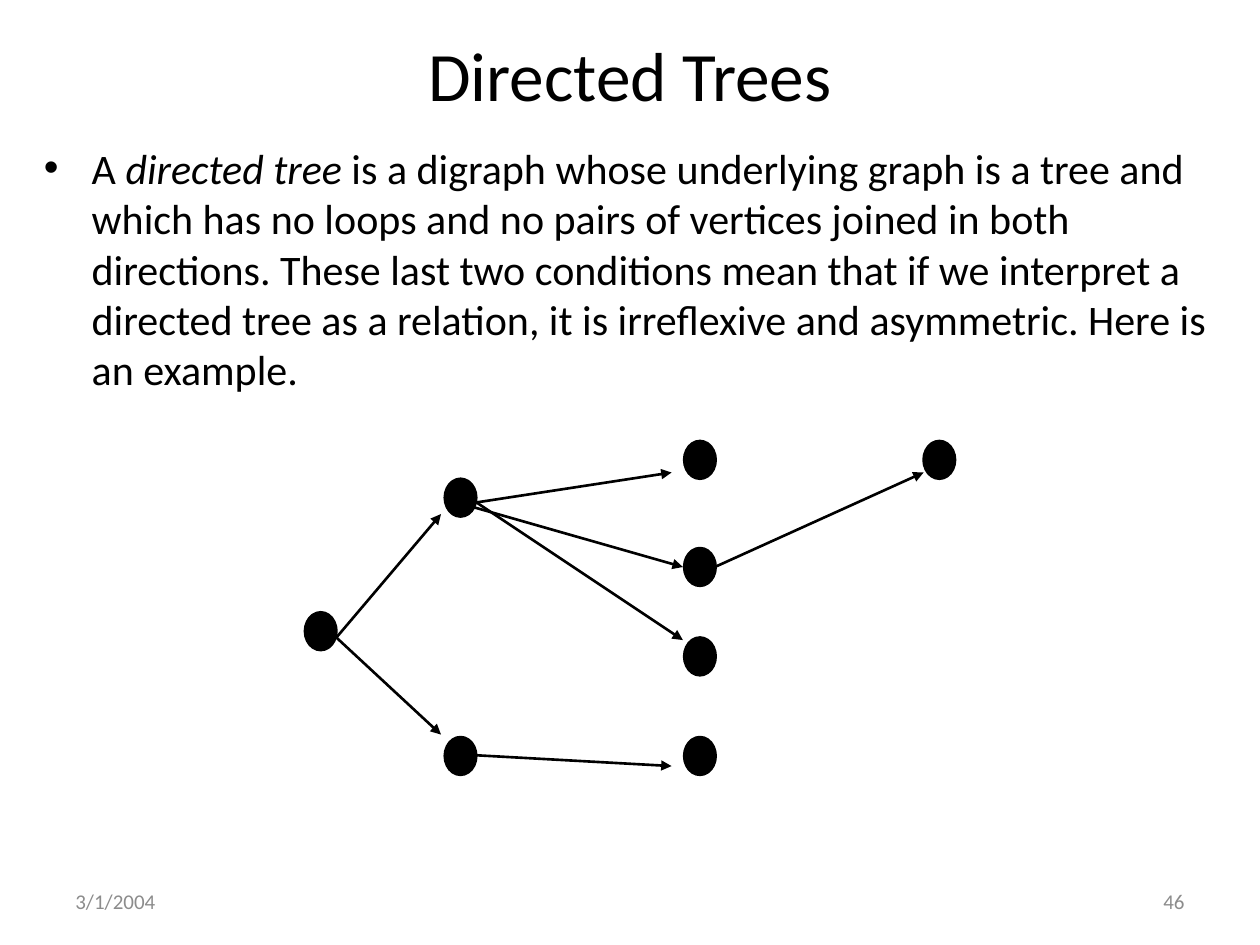
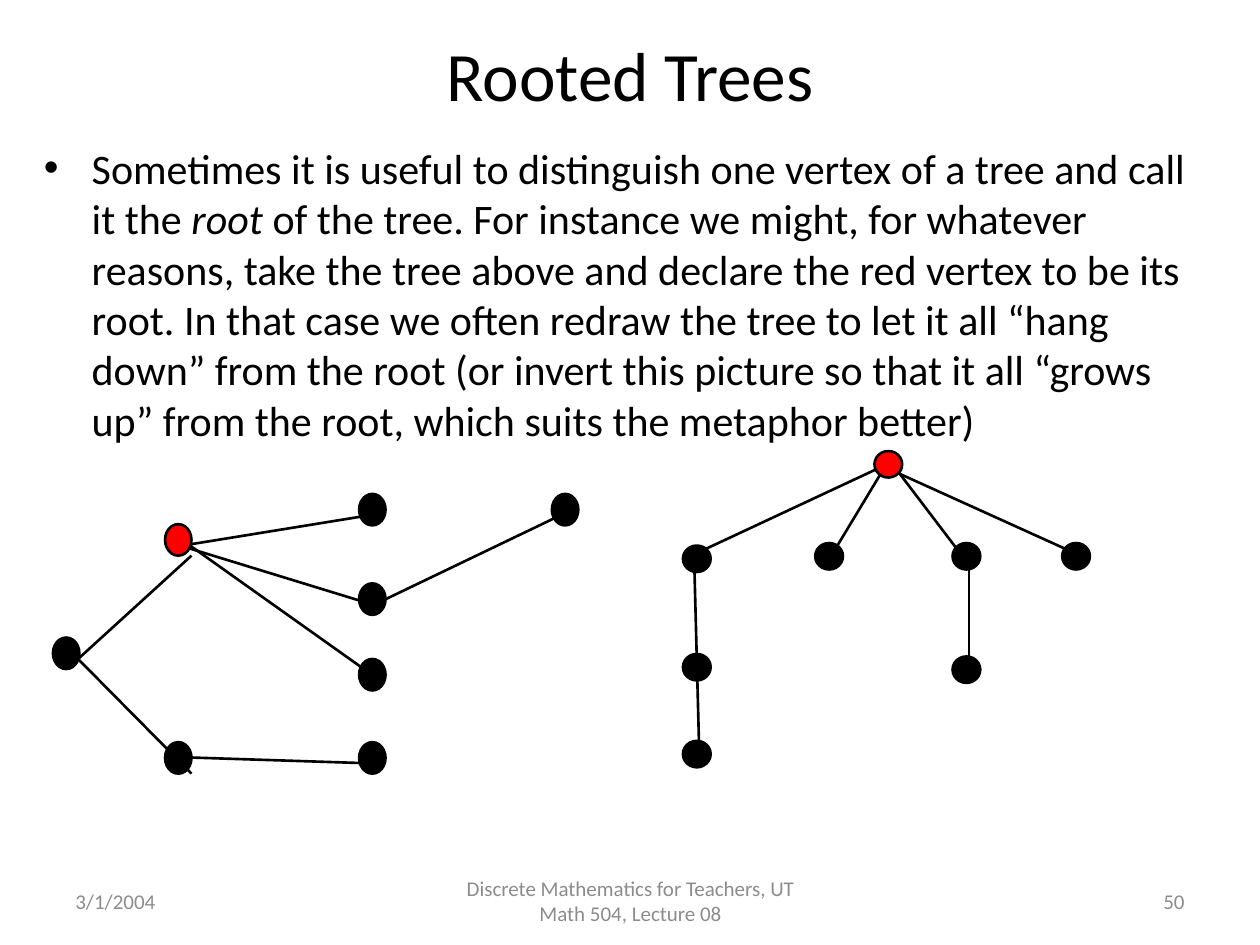
from dataclasses import dataclass

from lxml import etree
from pptx import Presentation
from pptx.dml.color import RGBColor
from pptx.enum.shapes import MSO_CONNECTOR, MSO_SHAPE
from pptx.enum.text import MSO_ANCHOR, PP_ALIGN
from pptx.oxml.ns import qn
from pptx.slide import Slide
from pptx.text.text import _Paragraph
from pptx.util import Inches, Pt

LINE = MSO_CONNECTOR.STRAIGHT
OVAL = MSO_SHAPE.OVAL
TOP, MIDDLE = MSO_ANCHOR.TOP, MSO_ANCHOR.MIDDLE
LEFT, CENTER, RIGHT = PP_ALIGN.LEFT, PP_ALIGN.CENTER, PP_ALIGN.RIGHT

FONT = "Calibri"
COLORS = {"ink": "000000", "root": "FF0000", "foot": "8C8C8C"}
STROKE = Pt(1.5)
Point = tuple[float, float]
Edge = tuple[Point, Point]


@dataclass(frozen=True)
class Style:
    size: float
    color: str
    align: PP_ALIGN = LEFT
    anchor: MSO_ANCHOR = MIDDLE
    bullet: bool = False


@dataclass(frozen=True)
class Tree:
    width: float
    height: float
    nodes: list[Point]
    edges: list[Edge]
    root: Point | None = None
    arrows: bool = False


@dataclass(frozen=True)
class Page:
    title: str
    body: list[str]
    number: str
    trees: list[Tree]
    course: str = ""


TITLE = Style(39.6, "ink", CENTER)
BODY = Style(24, "ink", anchor=TOP, bullet=True)
DATE, COURSE, NUMBER = (Style(12, "foot", side) for side in (LEFT, CENTER, RIGHT))

DIRECTED = Tree(
    0.25, 0.3,
    [(2.42, 4.86), (3.53, 3.8), (3.53, 5.85), (7.33, 3.5)]
    + [(5.43, y) for y in (3.5, 4.35, 5.06, 5.85)],
    [
        ((2.67, 5.06), (3.5, 4.08)),
        ((2.67, 5.06), (3.5, 5.83)),
        ((3.7, 4), (5.33, 3.75)),
        ((3.67, 4), (5.42, 4.5)),
        ((3.65, 3.9), (5.42, 5.08)),
        ((3.7, 5.99), (5.33, 6.08)),
        ((5.63, 4.52), (7.33, 3.75)),
    ],
    arrows=True,
)

SIDEWAYS = Tree(
    0.21, 0.25,
    [(0.42, 5.06), (1.31, 5.89), (4.38, 3.92)]
    + [(2.85, y) for y in (3.92, 4.63, 5.23, 5.89)],
    [
        ((0.62, 5.23), (1.52, 4.41)),
        ((0.62, 5.23), (1.52, 6.14)),
        ((1.45, 4.33), (2.93, 4.09)),
        ((1.43, 4.33), (2.93, 4.79)),
        ((1.41, 4.26), (2.93, 5.34)),
        ((1.45, 6.01), (2.99, 6.06)),
        ((3.01, 4.78), (4.51, 4.06)),
    ],
    root=(1.31, 4.16),
)

HANGING = Tree(
    0.22, 0.21,
    [(x, 4.31) for x in (6.47, 7.56, 8.43)]
    + [(5.42, y) for y in (4.33, 5.19, 5.88)]
    + [(7.56, 5.21)],
    [
        ((7.05, 3.68), (5.53, 4.39)),
        ((6.58, 4.44), (7.05, 3.66)),
        ((7.62, 4.39), (7.08, 3.68)),
        ((5.51, 4.46), (5.55, 5.99)),
        ((7.69, 4.41), (7.69, 5.3)),
        ((8.53, 4.39), (7.05, 3.72)),
    ],
    root=(6.94, 3.58),
)

PAGES = [
    Page(
        "Directed Trees",
        [
            "A ",
            "directed tree",
            " is a digraph whose underlying graph is a tree and which has no "
            "loops and no pairs of vertices joined in both directions. These "
            "last two conditions mean that if we interpret a directed tree as "
            "a relation, it is irreflexive and asymmetric. Here is an example.",
        ],
        "46",
        [DIRECTED],
    ),
    Page(
        "Rooted Trees",
        [
            "Sometimes it is useful to distinguish one vertex of a tree and "
            "call it the ",
            "root",
            " of the tree. For instance we might, for whatever reasons, take "
            "the tree above and declare the red vertex to be its root. In that "
            "case we often redraw the tree to let it all “hang down” from the "
            "root (or invert this picture so that it all “grows up” from the "
            "root, which suits the metaphor better)",
        ],
        "50",
        [SIDEWAYS, HANGING],
        "Discrete Mathematics for Teachers, UT Math 504, Lecture 08",
    ),
]


def tint(name: str) -> RGBColor:
    return RGBColor.from_string(COLORS[name])


def add_bullet(para: _Paragraph) -> None:
    props = para._p.get_or_add_pPr()
    props.set("marL", str(Inches(0.38)))
    props.set("indent", str(Inches(-0.38)))
    etree.SubElement(props, qn("a:buFont"), typeface="Arial")
    etree.SubElement(props, qn("a:buChar"), char="•")


def add_text(slide: Slide, box: tuple[float, ...], parts: list[str], style: Style) -> None:
    frame = slide.shapes.add_textbox(*map(Inches, box)).text_frame
    frame.word_wrap = True
    frame.vertical_anchor = style.anchor
    para = frame.paragraphs[0]
    para.alignment = style.align
    if style.bullet:
        add_bullet(para)
    para.font.name = FONT
    para.font.size = Pt(style.size)
    para.font.color.rgb = tint(style.color)
    for index, part in enumerate(parts):
        run = para.add_run()
        run.text = part
        if index % 2:
            run.font.italic = True


def add_edge(slide: Slide, edge: Edge, arrow: bool) -> None:
    (x1, y1), (x2, y2) = edge
    link = slide.shapes.add_connector(LINE, Inches(x1), Inches(y1), Inches(x2), Inches(y2))
    link.line.width = STROKE
    link.line.color.rgb = tint("ink")
    if arrow:
        etree.SubElement(link.line._get_or_add_ln(), qn("a:tailEnd"), type="triangle")
    etree.SubElement(link._element.spPr, qn("a:effectLst"))


def add_node(slide: Slide, spot: Point, tree: Tree, color: str) -> None:
    node = slide.shapes.add_shape(OVAL, *map(Inches, (*spot, tree.width, tree.height)))
    node.shadow.inherit = False
    node.fill.solid()
    node.fill.fore_color.rgb = tint(color)
    node.line.color.rgb = tint("ink")
    node.line.width = STROKE


def add_tree(slide: Slide, tree: Tree) -> None:
    for edge in tree.edges:
        add_edge(slide, edge, tree.arrows)
    for spot in tree.nodes:
        add_node(slide, spot, tree, "ink")
    if tree.root:
        add_node(slide, tree.root, tree, "root")


def add_page(deck: Presentation, page: Page) -> None:
    slide = deck.slides.add_slide(deck.slide_layouts[6])
    add_text(slide, (0.5, 6.95, 2.33, 0.4), ["3/1/2004"], DATE)
    if page.course:
        add_text(slide, (3.42, 6.95, 3.17, 0.4), [page.course], COURSE)
    add_text(slide, (7.17, 6.95, 2.33, 0.4), [page.number], NUMBER)
    add_text(slide, (0.25, 0.25, 9.5, 0.67), [page.title], TITLE)
    add_text(slide, (0.25, 1.08, 9.5, 5.75), page.body, BODY)
    for tree in page.trees:
        add_tree(slide, tree)


def main() -> None:
    deck = Presentation()
    deck.slide_width = Inches(10)
    deck.slide_height = Inches(7.5)
    for page in PAGES:
        add_page(deck, page)
    deck.save("out.pptx")


if __name__ == "__main__":
    main()
